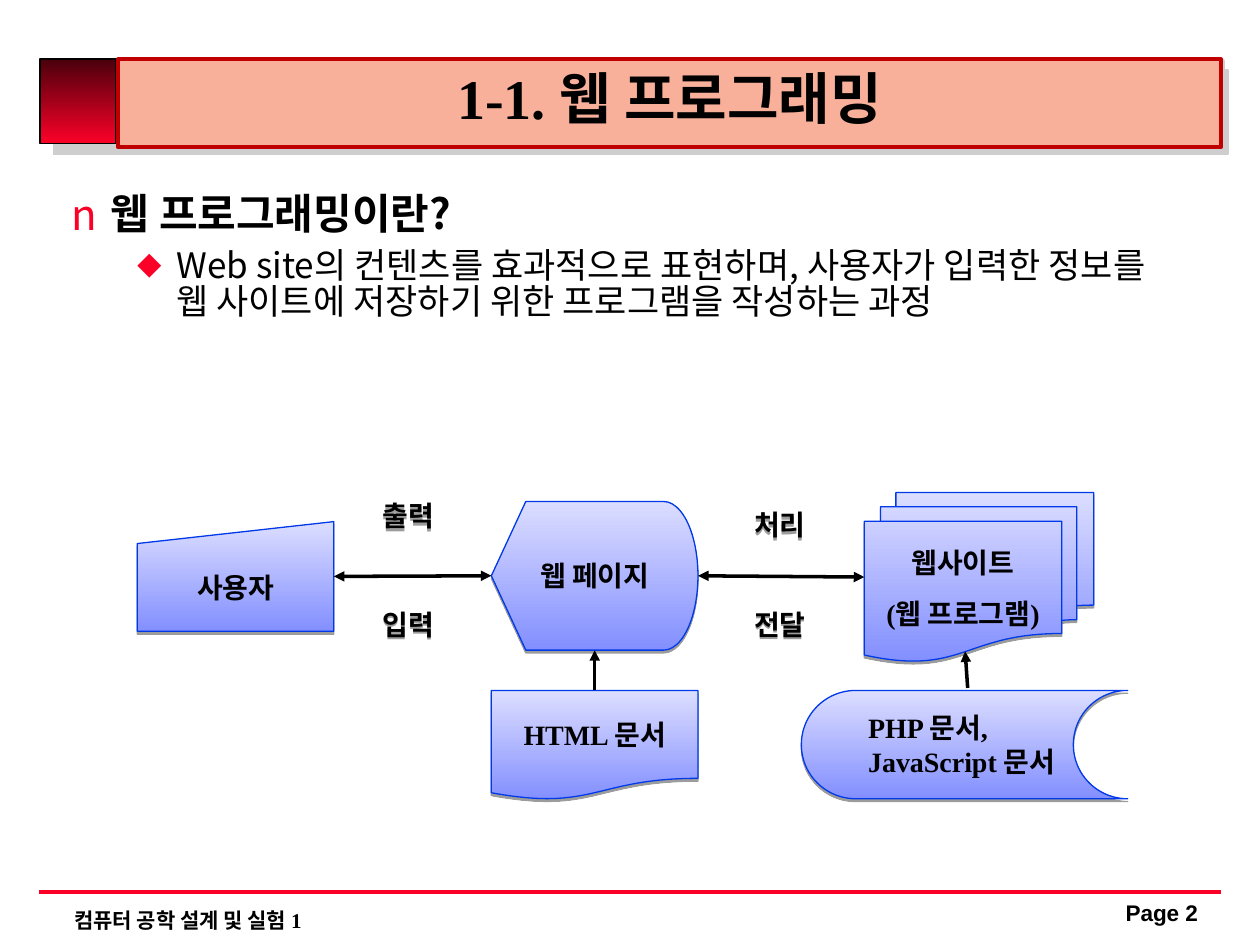
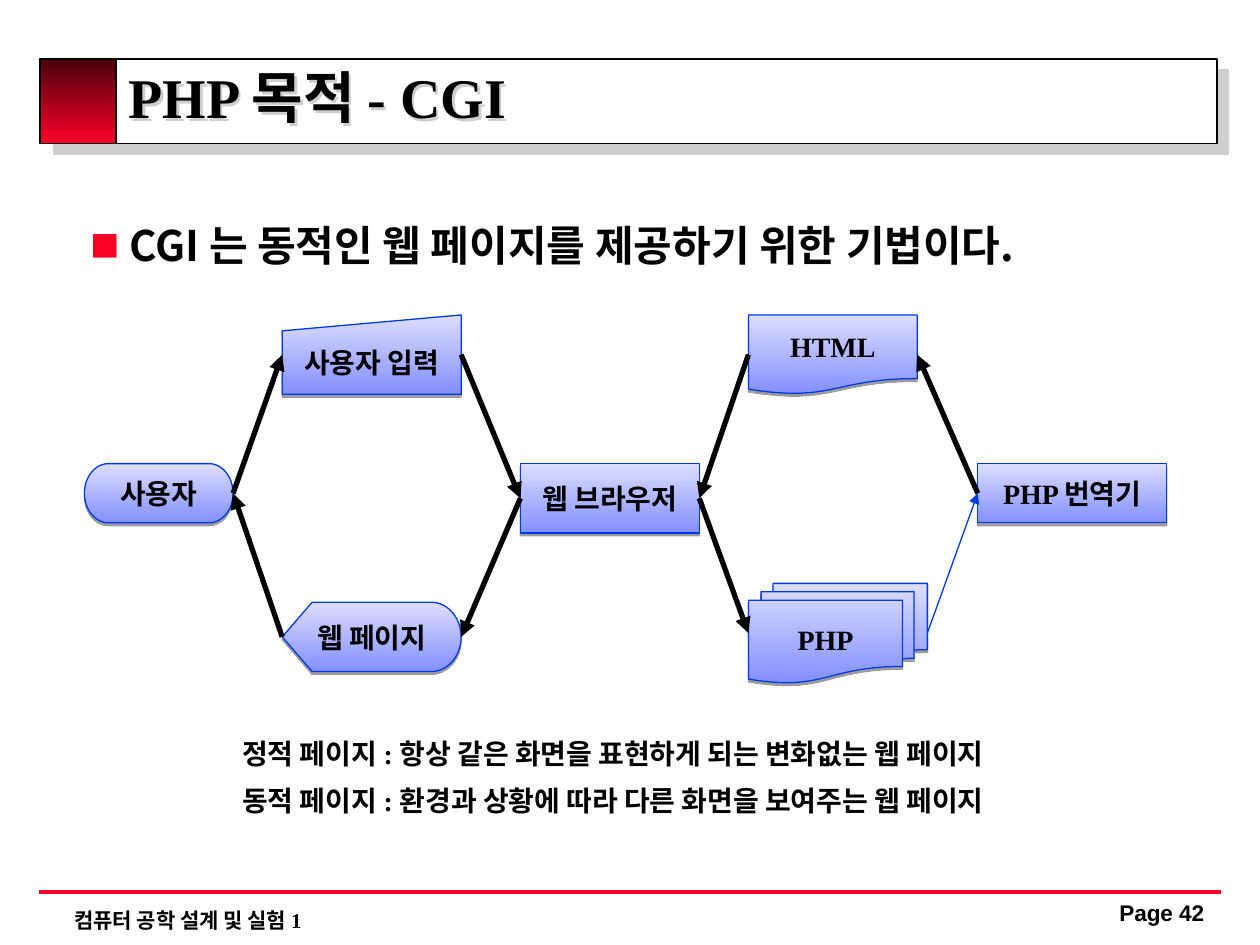
"""Build two slides on web programming and CGI flows."""
from lxml.etree import SubElement
from pptx import Presentation
from pptx.dml.color import RGBColor
from pptx.enum.shapes import MSO_CONNECTOR, MSO_SHAPE
from pptx.enum.text import MSO_ANCHOR, MSO_AUTO_SIZE, PP_ALIGN
from pptx.oxml.ns import qn
from pptx.util import Inches, Pt

HUES = {
    "ink": "000000", "paper": "FFFFFF", "red": "FC0128", "dark": "4B000C",
    "peach": "F8B09A", "rust": "C00000", "blue": "0039E8",
    "pale": "DCDEFF", "deep": "838FFF", "gray": "CECECE",
}
SERIF, SANS, ARIAL = "Times New Roman", "Noto Sans CJK KR", "Arial"
MID, LEFT = PP_ALIGN.CENTER, PP_ALIGN.LEFT
TOP, WEST, BASE, EAST = range(4)

KINDS = {
    "screen": MSO_SHAPE.FLOWCHART_DISPLAY,
    "stack": MSO_SHAPE.FLOWCHART_MULTIDOCUMENT,
    "input": MSO_SHAPE.FLOWCHART_MANUAL_INPUT,
    "page": MSO_SHAPE.FLOWCHART_DOCUMENT,
    "store": MSO_SHAPE.FLOWCHART_STORED_DATA,
    "step": MSO_SHAPE.FLOWCHART_PROCESS,
    "end": MSO_SHAPE.FLOWCHART_TERMINATOR,
}
FOOT = "컴퓨터 공학 설계 및 실험 1"
THICK = {"width": 3, "hue": "ink"}
MEDIUM = {"width": 2, "hue": "ink"}
THIN = {"width": 0.75, "hue": "blue"}

SLIDES = [
    {
        "title": "1-1. 웹 프로그래밍",
        "spot": (0.94, 0.47, 8.75, 0.7),
        "align": MID,
        "boxed": True,
        "number": 2,
        "body": (0.47, 1.5, 9, 2.2),
        "points": [
            (0, "n", 100, "웹 프로그래밍이란?"),
            (1, "◆", 70, "Web site의 컨텐츠를 효과적으로 표현하며, 사용자가 입력한 "
                         "정보를 웹 사이트에 저장하기 위한 프로그램을 작성하는 과정"),
        ],
        "nodes": {
            "view": ("screen", (3.9, 3.98, 1.64, 1.18), ["웹 페이지"], MID),
            "site": ("stack", (6.86, 3.91, 1.82, 1.34), ["웹사이트", "(웹 프로그램)"], MID),
            "user": ("input", (1.09, 4.14, 1.56, 0.87), ["사용자"], MID),
            "html": ("page", (3.9, 5.48, 1.64, 0.87), ["HTML 문서"], MID),
            "code": ("store", (6.36, 5.48, 2.59, 0.86), ["PHP 문서,\vJavaScript 문서"], LEFT),
        },
        "links": [
            ("user", EAST, "view", WEST, MEDIUM, True),
            ("view", EAST, "site", WEST, MEDIUM, True),
            ("html", TOP, "view", BASE, MEDIUM, False),
        ],
        "loose": [(7.68, 5.46, 7.66, 5.17)],
        "labels": [
            ("입력", (2.89, 4.77, 0.7, 0.37)),
            ("출력", (2.89, 3.91, 0.7, 0.37)),
            ("전달", (5.85, 4.77, 0.68, 0.37)),
            ("처리", (5.85, 3.98, 0.68, 0.37)),
        ],
        "notes": [],
    },
    {
        "title": "PHP 목적 - CGI",
        "spot": (0.92, 0.44, 8.77, 0.75),
        "align": LEFT,
        "boxed": False,
        "number": 42,
        "body": (0.62, 1.76, 8.75, 0.6),
        "points": [(0, "■", 70, "CGI 는 동적인 웹 페이지를 제공하기 위한 기법이다.")],
        "nodes": {
            "view": ("screen", (2.24, 4.78, 1.42, 0.55), ["웹 페이지"], MID),
            "browse": ("step", (4.13, 3.68, 1.42, 0.55), ["웹 브라우저"], MID),
            "code": ("stack", (5.94, 4.63, 1.42, 0.79), ["PHP"], MID),
            "html": ("page", (5.94, 2.5, 1.34, 0.63), ["HTML"], MID),
            "parser": ("step", (7.76, 3.68, 1.5, 0.47), ["PHP 번역기"], MID),
            "form": ("input", (2.24, 2.5, 1.42, 0.63), ["사용자 입력"], MID),
            "user": ("end", (0.67, 3.68, 1.18, 0.47), ["사용자"], MID),
        },
        "links": [
            ("parser", WEST, "html", EAST, THICK, False),
            ("html", WEST, "browse", EAST, THICK, False),
            ("browse", WEST, "view", EAST, THICK, False),
            ("form", EAST, "browse", WEST, THICK, False),
            ("user", EAST, "form", WEST, THICK, False),
            ("view", WEST, "user", EAST, THICK, False),
            ("browse", EAST, "code", WEST, THICK, False),
            ("code", EAST, "parser", WEST, THIN, False),
        ],
        "loose": [],
        "labels": [],
        "notes": [
            "정적 페이지 : 항상 같은 화면을 표현하게 되는 변화없는 웹 페이지",
            "동적 페이지 : 환경과 상황에 따라 다른 화면을 보여주는 웹 페이지",
        ],
    },
]


def rgb(hue):
    return RGBColor.from_string(HUES[hue])


def style(item, **values):
    for name, value in values.items():
        setattr(item, name, value)


def place(shape, spot):
    for name, value in zip(("left", "top", "width", "height"), spot):
        setattr(shape, name, Inches(value))


def shade(shape, hue, dist, alpha=100):
    shape.shadow.inherit = False
    effects = shape.element.spPr.find(qn("a:effectLst"))
    outer = SubElement(effects, qn("a:outerShdw"), dist=str(Pt(dist)),
                       dir="2700000" if hue == "gray" else "5400000",
                       algn="ctr", rotWithShape="0")
    color = SubElement(outer, qn("a:srgbClr"), val=HUES[hue])
    SubElement(color, qn("a:alpha"), val=str(alpha * 1000))


def paint(shape, fill, edge, width):
    if isinstance(fill, tuple):
        shape.fill.gradient()
        shape.fill.gradient_angle = 270
        for stop, hue in zip(shape.fill.gradient_stops, fill):
            stop.color.rgb = rgb(hue)
    else:
        shape.fill.solid()
        shape.fill.fore_color.rgb = rgb(fill)
    shape.line.color.rgb = rgb(edge)
    shape.line.width = Pt(width)
    shape.shadow.inherit = False


def write(para, text, size=16, face=SERIF, bold=True, **format):
    para.text = text
    style(para, **format)
    for run in para.runs:
        style(run.font, size=Pt(size), name=face, bold=bold)
        run.font.color.rgb = rgb("ink")
        latin = run.font._element.find(qn("a:latin"))
        east = SubElement(run.font._element, qn("a:ea"), typeface=SANS)
        latin.addnext(east)


def fill_text(shape, lines, wrap=True, anchor=MSO_ANCHOR.TOP, **format):
    frame = shape.text_frame
    style(frame, word_wrap=wrap, vertical_anchor=anchor, auto_size=MSO_AUTO_SIZE.NONE)
    for i, line in enumerate(lines):
        para = frame.add_paragraph() if i else frame.paragraphs[0]
        write(para, line, space_before=Pt(10 if i else 0), **format)


def add_text(slide, spot, text, **format):
    box = slide.shapes.add_textbox(*map(Inches, spot))
    fill_text(box, [text], **format)
    return box


def add_line(slide, ends, width, hue, tips=()):
    line = slide.shapes.add_connector(MSO_CONNECTOR.STRAIGHT, *map(Inches, ends))
    line.line.color.rgb = rgb(hue)
    line.line.width = Pt(width)
    for tip in tips:
        SubElement(line.line._ln, qn(f"a:{tip}"), type="triangle")
    SubElement(line.element.spPr, qn("a:effectLst"))
    return line


def add_frame(slide, number):
    bars = [((0.34, 0.47, 9.32, 0.67), "paper"),
            ((0.32, 0.47, 0.6, 0.67), ("dark", "red"))]
    for spot, fill in bars:
        bar = slide.shapes.add_shape(MSO_SHAPE.RECTANGLE, *map(Inches, spot))
        paint(bar, fill, "ink", 1)
        if fill == "paper":
            shade(bar, "gray", 8.5)
    add_line(slide, (0.31, 7.08, 9.69, 7.08), 2.25, "red")
    add_text(slide, (0.49, 7.15, 6.68, 0.3), FOOT, size=12)
    add_text(slide, (8.68, 7.11, 1.08, 0.33), f"Page {number}",
             size=12.9, face=ARIAL, alignment=MID, line_spacing=0.9)


def add_title(slide, data):
    title = slide.shapes.title
    place(title, data["spot"])
    if data["boxed"]:
        paint(title, "peach", "rust", 2.25)
        shade(title, "gray", 1.4)
    else:
        title.fill.background()
        shade(title, "gray", 2)
    fill_text(title, [data["title"]], anchor=MSO_ANCHOR.MIDDLE, size=32,
              alignment=data["align"], line_spacing=0.8)
    title.element.getparent().append(title.element)


def add_points(slide, spot, points):
    body = slide.placeholders[1]
    place(body, spot)
    frame = body.text_frame
    frame.auto_size = MSO_AUTO_SIZE.NONE
    for i, (level, mark, scale, text) in enumerate(points):
        para = frame.add_paragraph() if i else frame.paragraphs[0]
        props = para._p.get_or_add_pPr()
        props.set("marL", str(Inches((0.31, 0.83)[level])))
        props.set("indent", str(Inches(-0.31)))
        color = SubElement(props, qn("a:buClr"))
        SubElement(color, qn("a:srgbClr"), val=HUES["red"])
        SubElement(props, qn("a:buSzPct"), val=str(scale * 1000))
        SubElement(props, qn("a:buFont"), typeface=SANS)
        SubElement(props, qn("a:buChar"), char=mark)
        write(para, text, size=(24, 20)[level], face=SANS, bold=level == 0,
              level=level, alignment=LEFT, line_spacing=0.84,
              space_before=Pt(7.5 if i else 0))


def add_flow(slide, data):
    nodes = {}
    for name, (kind, spot, lines, align) in data["nodes"].items():
        node = slide.shapes.add_shape(KINDS[kind], *map(Inches, spot))
        paint(node, ("pale", "deep"), "blue", 0.75)
        shade(node, "ink", 1.6, 38)
        fill_text(node, lines, wrap=False, anchor=MSO_ANCHOR.MIDDLE, alignment=align)
        nodes[name] = node
    for start, side, goal, port, look, both in data["links"]:
        tips = ("headEnd", "tailEnd") if both else ("tailEnd",)
        line = add_line(slide, (0, 0, 0, 0), tips=tips, **look)
        line.begin_connect(nodes[start], side)
        line.end_connect(nodes[goal], port)
    for ends in data["loose"]:
        add_line(slide, ends, tips=("tailEnd",), **MEDIUM)
    for text, spot in data["labels"]:
        shade(add_text(slide, spot, text, alignment=MID), "ink", 1.6, 38)
    for i, text in enumerate(data["notes"]):
        add_text(slide, (1.72, 5.8 + 0.37 * i, 6.29, 0.37), text,
                 wrap=False, alignment=MID)


def main():
    deck = Presentation()
    style(deck, slide_width=Inches(10), slide_height=Inches(7.5))
    for data in SLIDES:
        slide = deck.slides.add_slide(deck.slide_layouts[1])
        add_frame(slide, data["number"])
        add_title(slide, data)
        add_points(slide, data["body"], data["points"])
        add_flow(slide, data)
    deck.save("out.pptx")


if __name__ == "__main__":
    main()
